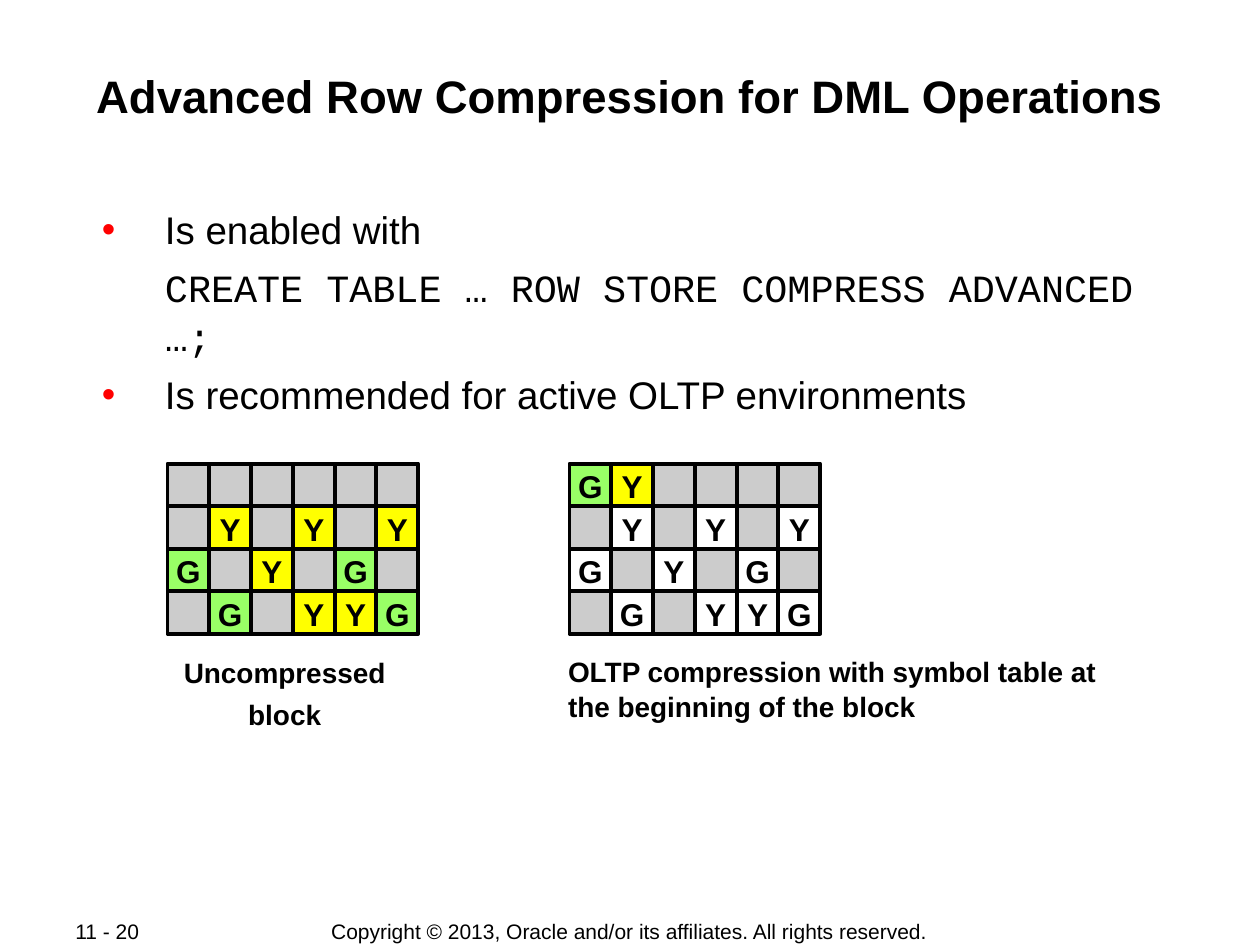
from pptx import Presentation
from pptx.dml.color import RGBColor
from pptx.enum.shapes import MSO_SHAPE as Shape
from pptx.enum.text import MSO_ANCHOR as Anchor, MSO_AUTO_SIZE as Fit, PP_ALIGN as Align
from pptx.oxml.ns import qn
from pptx.util import Inches, Pt
from lxml.etree import SubElement as Sub

GREY, GREEN, YELLOW, WHITE, BLACK, RED = (
    "CCCCCC", "99FF66", "FFFF00", "FFFFFF", "000000", "FF0000")
PLAIN = ["......", ".Y.Y.Y", "G.Y.G.", ".G.YYG"]
PACKED = ["GY....", *PLAIN[1:]]
TINTS = {"G": GREEN, "Y": YELLOW, ".": GREY}
LABELS = {"G": WHITE, "Y": WHITE, ".": GREY}


def color(code):
    return RGBColor.from_string(code)


def apply(item, **values):
    for name, value in values.items():
        setattr(item, name, value)


def place(item, box):
    sides = ("left", "top", "width", "height")
    apply(item, **dict(zip(sides, map(Inches, box))))


def style(par, size, bold=False, face="Arial", align=Align.LEFT):
    apply(par, alignment=align)
    apply(par.font, size=Pt(size), bold=bold, name=face)
    par.font.color.rgb = color(BLACK)


def write(frame, lines, size, gap=0, pad=(0.1, 0.05), wrap=True,
          anchor=Anchor.TOP, **look):
    side, edge = map(Inches, pad)
    apply(frame, text="\n".join(lines), auto_size=Fit.NONE, word_wrap=wrap,
          vertical_anchor=anchor, margin_left=side, margin_right=side,
          margin_top=edge, margin_bottom=edge)
    for i, par in enumerate(frame.paragraphs):
        apply(par, space_before=Pt(gap if i else 0), line_spacing=1.05)
        style(par, size, **look)


def label(shapes, box, lines, size, **look):
    frame = shapes.add_textbox(*map(Inches, box)).text_frame
    write(frame, lines, size, **look)
    return frame


def indent(par, mark):
    props = par._p.get_or_add_pPr()
    props.set("marL", str(Inches(0.63)))
    props.set("indent", str(Inches(-0.5 if mark else 0)))
    if mark:
        tint = Sub(props, qn("a:buClr"))
        Sub(tint, qn("a:srgbClr"), val=RED)
        Sub(props, qn("a:buFont"), typeface="Arial")
        Sub(props, qn("a:buChar"), char="•")
    else:
        Sub(props, qn("a:buNone"))


def heading(slide, box):
    title = slide.shapes.title
    place(title, box)
    write(title.text_frame, ["Advanced Row Compression for DML Operations"], 26,
          pad=(0.01, 0.01), bold=True, align=Align.CENTER)


def body(slide, box):
    rows = [
        ("Is enabled with", True, "Arial"),
        ("CREATE TABLE … ROW STORE COMPRESS ADVANCED …;", False, "Courier New"),
        ("Is recommended for active OLTP environments", True, "Arial"),
    ]
    frame = label(slide.shapes, box, [row[0] for row in rows], 22,
                  gap=5.5, pad=(0.01, 0.01))
    for par, (_, mark, face) in zip(frame.paragraphs, rows):
        indent(par, mark)
        style(par, 22, face=face)


def block(slide, box, rows, tints):
    shapes = slide.shapes.add_group_shape().shapes
    left, top, width, height = box
    wide, high = width / len(rows[0]), height / len(rows)
    for y, row in enumerate(rows):
        for x, mark in enumerate(row):
            spot = (left + x * wide, top + y * high, wide, high)
            cell = shapes.add_shape(Shape.RECTANGLE, *map(Inches, spot))
            cell.shadow.inherit = False
            cell.fill.solid()
            cell.fill.fore_color.rgb = color(tints[mark])
            cell.line.color.rgb = color(BLACK)
            cell.line.width = Pt(2.25)
            if mark != ".":
                write(cell.text_frame, [mark], 18, wrap=False, bold=True,
                      anchor=Anchor.MIDDLE, align=Align.CENTER)


def footer(slide, box):
    left, top, width, height = box
    label(slide.shapes, (left, top, 1.06, height), ["11 - 20"], 12,
          anchor=Anchor.MIDDLE)
    label(slide.shapes, (left + 2.25, top, width - 2.25, height),
          ["Copyright © 2013, Oracle and/or its affiliates. All rights reserved."],
          12, wrap=False, anchor=Anchor.MIDDLE, align=Align.CENTER)


def main():
    deck = Presentation()
    apply(deck, slide_width=Inches(10), slide_height=Inches(7.5))
    slide = deck.slides.add_slide(deck.slide_layouts[5])
    heading(slide, (0.67, 0.51, 8.66, 0.96))
    body(slide, (0.67, 1.61, 8.66, 1.66))
    block(slide, (1.33, 3.68, 1.99, 1.35), PLAIN, TINTS)
    label(slide.shapes, (1.36, 5.14, 1.8, 0.69), ["Uncompressed", "block"], 16,
          gap=4, wrap=False, bold=True, align=Align.CENTER)
    block(slide, (4.52, 3.68, 1.99, 1.35), PACKED, LABELS)
    for cell, tint in zip(slide.shapes[-1].shapes, (GREEN, YELLOW)):
        cell.fill.fore_color.rgb = color(tint)
    label(slide.shapes, (4.41, 5.13, 4.75, 0.64),
          ["OLTP compression with symbol table at the beginning of the block"],
          16, bold=True)
    footer(slide, (0.5, 7.28, 6.74, 0.21))
    deck.save("out.pptx")


if __name__ == "__main__":
    main()
